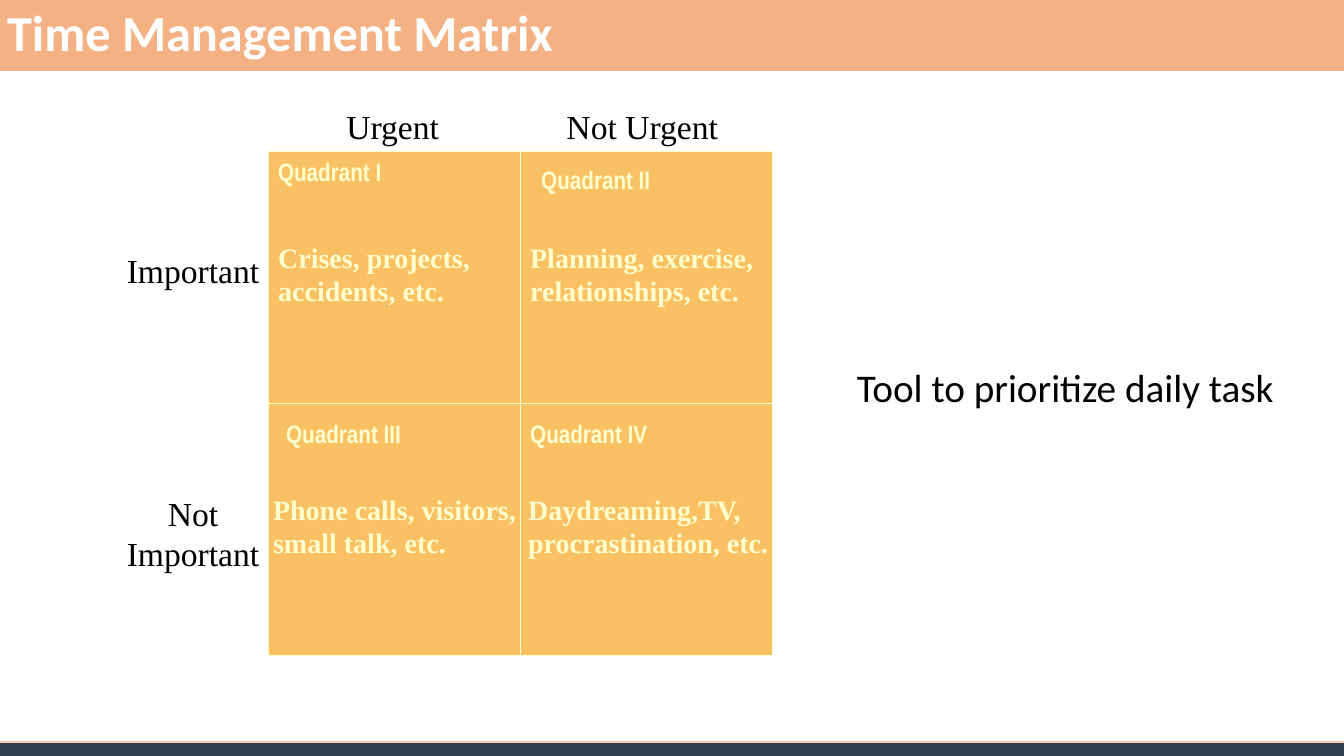
from dataclasses import dataclass

from pptx import Presentation
from pptx import util as u
from pptx.dml.color import RGBColor
from pptx.enum import shapes, text

# Content: lengths are in px, 100 to the inch
SIZE = (1333, 750)
TITLE = "Time Management Matrix"
BAR = (0, 0, 1333, 70)
FOOT = (-3, 736, 1339, 17)
GRID = (266, 150)
CELL = 250

# Name and box offset in the cell, then tasks and box offset in the cell
QUADS = [
    ("Quadrant I", (0, 0, 124, 40), "Crises, projects,\naccidents, etc.", (0, 83, 212, 77)),
    ("Quadrant II", (11, 8, 130, 40), "Planning, exercise,\nrelationships, etc.", (0, 83, 243, 77)),
    ("Quadrant III", (8, 10, 136, 40), "Phone calls, visitors,\nsmall talk, etc.", (-5, 83, 263, 77)),
    ("Quadrant IV", (0, 10, 138, 40), "Daydreaming,TV,\nprocrastination, etc.", (-2, 83, 260, 77)),
]
AXES = [
    ("Important", (115, 242, 153, 51)),
    ("Not\nImportant", (115, 483, 153, 91)),
    ("Urgent", (333, 100, 113, 51)),
    ("Not Urgent", (533, 100, 208, 51)),
]
NOTE = ("Tool to prioritize daily task", (840, 355, 438, 57))


@dataclass(frozen=True)
class Theme:
    bar: str = "F4B183"
    foot: str = "333F50"
    rim: str = "F8CBAD"
    cell: str = "FAC164"
    cream: str = "FFFFCC"
    # Type styles: font, points, bold, colour
    head: tuple = ("Calibri", 36, True, "FFFFFF")
    axis: tuple = ("Times New Roman", 24, False, "000000")
    name: tuple = ("Arial Narrow", 18, True, "FFFFCC")
    task: tuple = ("Times New Roman", 20, True, "FFFFCC")
    note: tuple = ("Calibri", 28, False, "000000")


THEME = Theme()
SCALE = u.Inches(1) // 100


def emu(box):
    return [n * SCALE for n in box]


def paint(shape, fill, line, width):
    shape.fill.solid()
    shape.fill.fore_color.rgb = RGBColor.from_string(fill)
    shape.line.color.rgb = RGBColor.from_string(line)
    shape.line.width = u.Pt(width)


def write(frame, words, style, align=text.PP_ALIGN.LEFT):
    frame.vertical_anchor = text.MSO_ANCHOR.MIDDLE
    para = frame.paragraphs[0]
    para.text = words.replace("\n", "\v")
    para.alignment = align
    font = para.font
    font.name, size, font.bold, color = style
    font.size = u.Pt(size)
    font.color.rgb = RGBColor.from_string(color)
    return para


def block(slide, kind, box, fill, line, width):
    shape = slide.shapes.add_shape(kind, *emu(box))
    shape.shadow.inherit = False
    paint(shape, fill, line, width)
    return shape


def label(slide, words, box, style, align=text.PP_ALIGN.LEFT):
    frame = slide.shapes.add_textbox(*emu(box)).text_frame
    frame.word_wrap = False
    write(frame, words, style, align)


def main():
    deck = Presentation()
    deck.slide_width, deck.slide_height = emu(SIZE)
    slide = deck.slides.add_slide(deck.slide_layouts[5])

    # Title bar and footer strip
    title = slide.shapes.title
    title.left, title.top, title.width, title.height = emu(BAR)
    paint(title, THEME.bar, THEME.bar, 0.75)
    frame = title.text_frame
    frame.auto_size = text.MSO_AUTO_SIZE.NONE
    frame.margin_left = frame.margin_right = 7 * SCALE
    frame.margin_top = frame.margin_bottom = 4 * SCALE
    write(frame, TITLE, THEME.head).line_spacing = 0.9
    block(slide, shapes.MSO_SHAPE.RECTANGLE, FOOT, THEME.foot, THEME.rim, 1)

    # Matrix cells, two to a row
    spots = [(GRID[0] + i % 2 * CELL, GRID[1] + i // 2 * CELL) for i in range(len(QUADS))]
    for x, y in spots:
        cell = block(slide, shapes.MSO_SHAPE.ROUNDED_RECTANGLE, (x, y, CELL, CELL),
                     THEME.cell, THEME.cream, 0.75)
        cell.adjustments[0] = 0

    # Axis labels
    for words, box in AXES:
        label(slide, words, box, THEME.axis, text.PP_ALIGN.CENTER)

    # Quadrant names and tasks
    for (x, y), (name, head, task, body) in zip(spots, QUADS):
        for words, (dx, dy, w, h), style in ((name, head, THEME.name), (task, body, THEME.task)):
            label(slide, words, (x + dx, y + dy, w, h), style)

    # Side note
    label(slide, *NOTE, THEME.note)
    deck.save("out.pptx")


if __name__ == "__main__":
    main()
